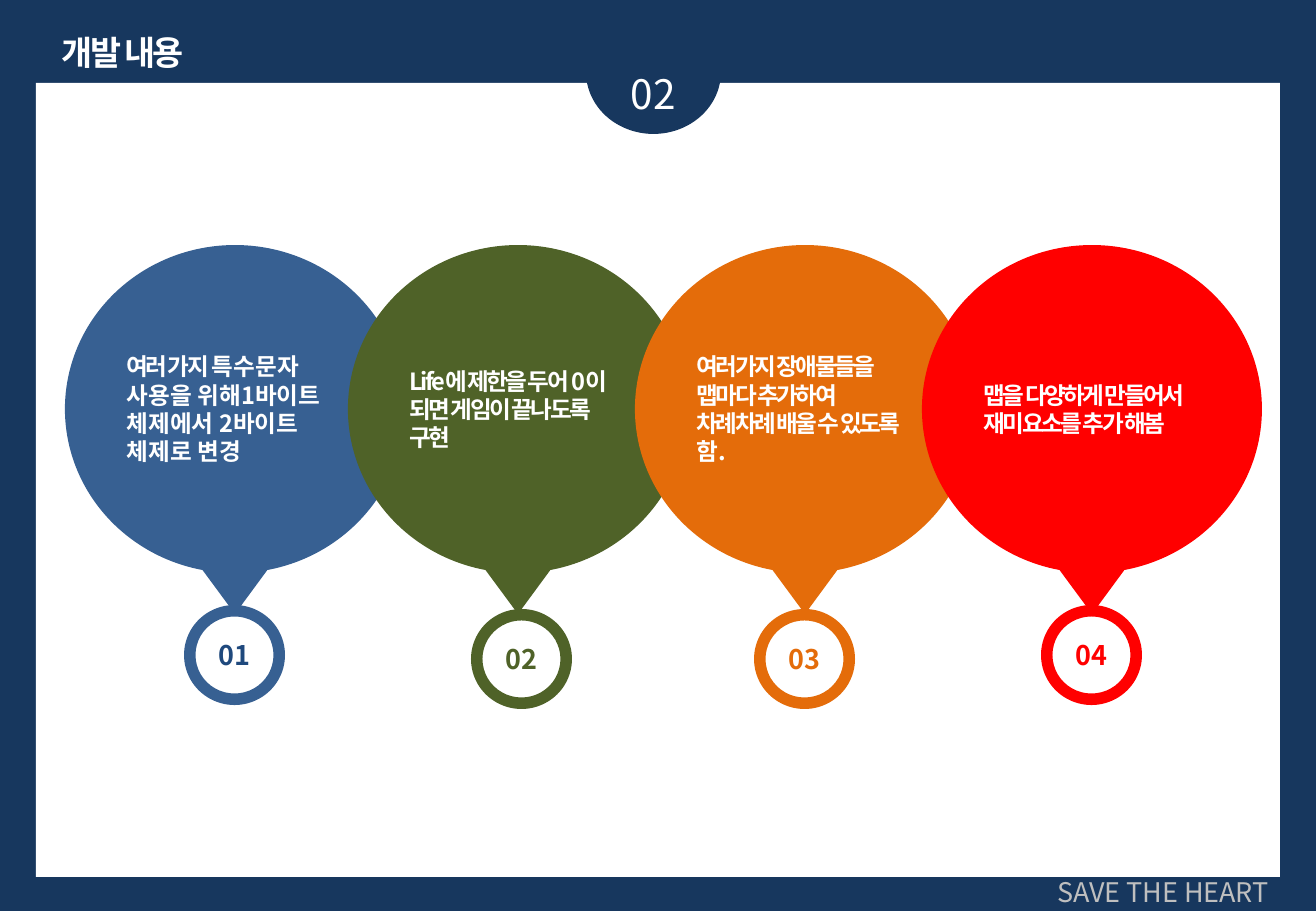
from pptx import Presentation
from pptx import util as u
from pptx.dml.color import RGBColor
from pptx.enum import shapes, text
from pptx.oxml import parse_xml
from pptx.oxml.ns import nsdecls

FONT = "Noto Sans CJK KR"
COLORS = {"navy": "17375E", "white": "FFFFFF", "gray": "BFBFBF", "ink": "1F497D",
          "blue": "376092", "green": "4F6228", "orange": "E46C0A", "red": "FF0000"}
TITLE = "개발 내용"
SECTION = "02"
FOOTER = "SAVE THE HEART"
TIGHT = -150
STEPS = [
    ("01", "blue", "ink", (65, 245), (184, 605),
     [("여러 가지 ", TIGHT), ("특수문자 사용을 위해1바이트 체제에서 2바이트 체제로 변경", 0)]),
    ("02", "green", "green", (348, 245), (471, 609),
     [("Life에 제한을 두어 0이 되면 게임이 끝나도록 구현", TIGHT)]),
    ("03", "orange", "orange", (635, 245), (754, 609),
     [("여러가지 장애물들을 맵마다 추가하여 차례차례 배울 수 있도록 함.", TIGHT)]),
    ("04", "red", "red", (922, 245), (1041, 605),
     [("맵을 다양하게 만들어서 재미요소를 추가 해봄", TIGHT)]),
]
CALLOUT_SIZE = (340, 328)
RING_SIZE = (101, 100)
SHAPE, ALIGN, ANCHOR = shapes.MSO_SHAPE, text.PP_ALIGN, text.MSO_ANCHOR


def px(n):
    return u.Emu(round(n * 914400 / 121.5))


def rgb(name):
    return RGBColor.from_string(COLORS[name])


def write(sp, runs, size, color, align=ALIGN.LEFT, anchor=ANCHOR.MIDDLE, bold=False, wrap=True):
    tf = sp.text_frame
    frame = {"word_wrap": wrap, "auto_size": text.MSO_AUTO_SIZE.NONE, "vertical_anchor": anchor}
    for key, value in frame.items():
        setattr(tf, key, value)
    p = tf.paragraphs[0]
    p.alignment = align
    for words, spacing in runs:
        r = p.add_run()
        r.text = words
        for key, value in {"name": FONT, "size": u.Pt(size), "bold": bold}.items():
            setattr(r.font, key, value)
        r.font.color.rgb = rgb(color)
        rPr = r._r.get_or_add_rPr()
        rPr.set("spc", str(spacing))
        rPr.append(parse_xml(f'<a:ea {nsdecls("a")} typeface="{FONT}"/>'))


def add_shape(s, kind, box, color, adjustments=()):
    sp = s.shapes.add_shape(kind, *map(px, box))
    sp.shadow.inherit = False
    sp.fill.solid()
    sp.fill.fore_color.rgb = rgb(color)
    sp.line.fill.background()
    for i, value in enumerate(adjustments):
        sp.adjustments[i] = value
    return sp


def add_text(s, box, words, size, color, align):
    sp = s.shapes.add_textbox(*map(px, box))
    write(sp, [(words, 0)], size, color, align, ANCHOR.TOP)


def main():
    prs = Presentation()
    prs.slide_width, prs.slide_height = px(1316), px(911)
    s = prs.slides.add_slide(prs.slide_layouts[5])
    s.background.fill.solid()
    s.background.fill.fore_color.rgb = rgb("navy")

    title = s.shapes.title
    for key, value in zip(("left", "top", "width", "height"), (43, 26, 160, 53)):
        setattr(title, key, px(value))
    write(title, [(TITLE, TIGHT)], 20, "white", ALIGN.CENTER, ANCHOR.TOP, True, False)

    add_shape(s, SHAPE.RECTANGLE, (36, 83, 1244, 794), "white")
    add_shape(s, SHAPE.OVAL, (586, 10, 135, 124), "navy")
    add_text(s, (575, 63, 156, 61), SECTION, 24, "white", ALIGN.CENTER)
    add_text(s, (1011, 870, 270, 45), FOOTER, 16, "gray", ALIGN.RIGHT)

    for number, color, ink, callout_at, ring_at, runs in STEPS:
        callout = add_shape(s, SHAPE.OVAL_CALLOUT, callout_at + CALLOUT_SIZE, color, (0, 0.625))
        write(callout, runs, 14, "white", bold=True)
        ring = add_shape(s, SHAPE.DONUT, ring_at + RING_SIZE, color, (0.115,))
        write(ring, [(number, 0)], 16, ink, ALIGN.CENTER, bold=True)

    prs.save("out.pptx")


if __name__ == "__main__":
    main()
